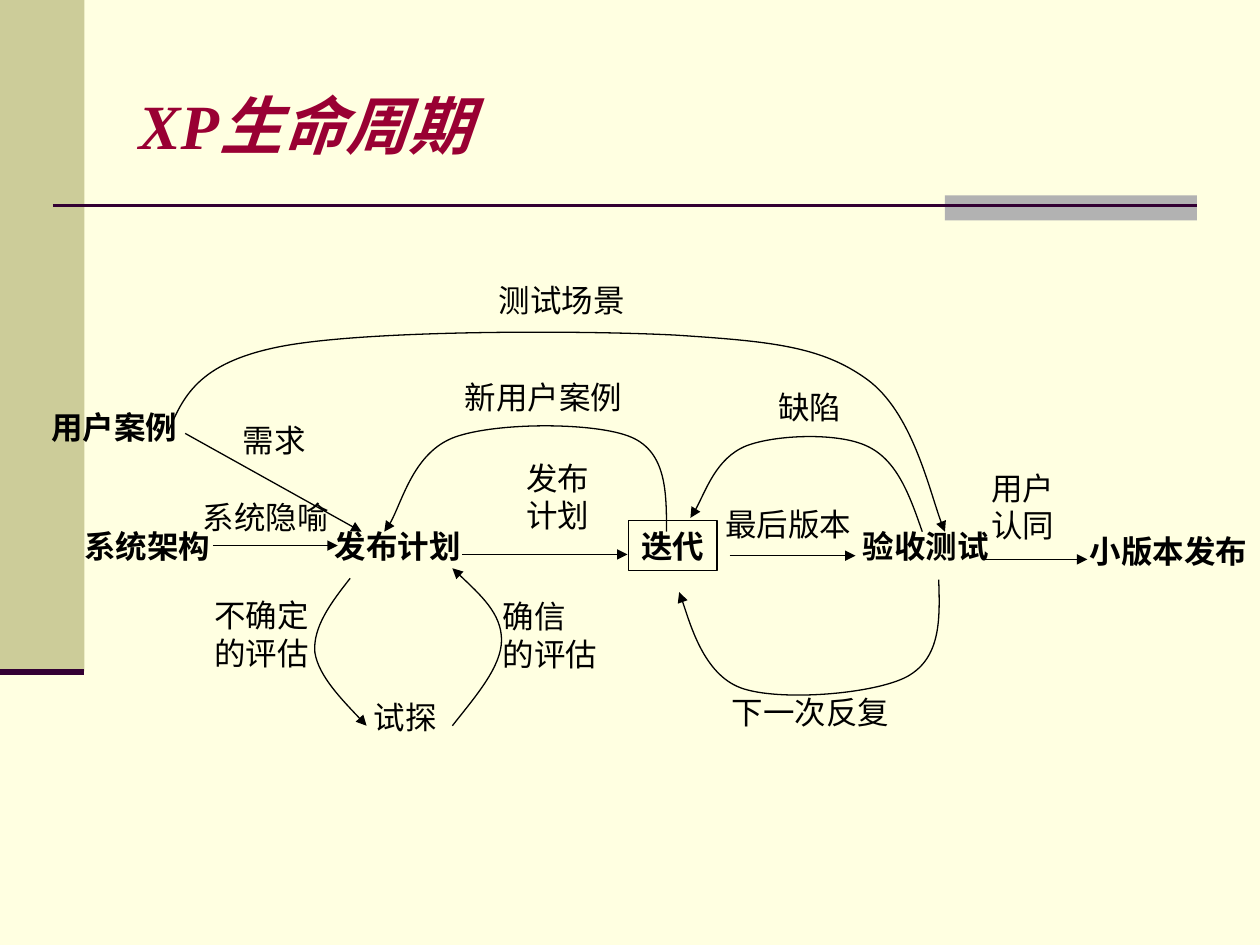
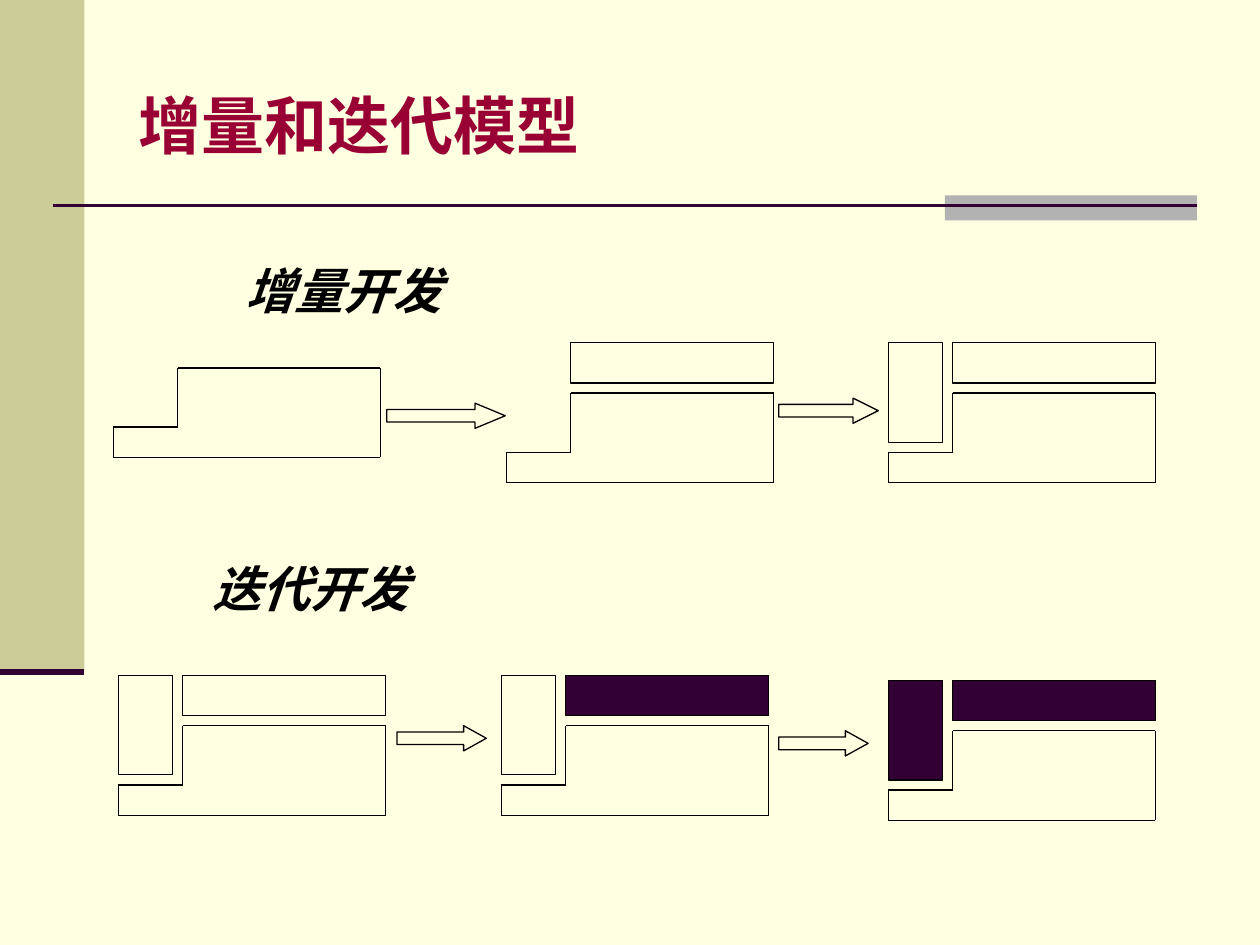
from itertools import pairwise

from lxml import etree
from pptx import Presentation
from pptx import util as u
from pptx.dml.color import RGBColor
from pptx.enum import shapes, text
from pptx.oxml.ns import qn

COLORS = {
    "page": "FFFFE1", "band": "CCCC99", "tab": "B2B2B2",
    "plum": "330033", "title": "990033", "ink": "000000",
}


def write(frame, content, size=18, font="Arial", color="ink", bold=False, italic=False,
          wrap=False, align=text.PP_ALIGN.LEFT, anchor=text.MSO_ANCHOR.TOP,
          spacing=None, before=None, fit=text.MSO_AUTO_SIZE.SHAPE_TO_FIT_TEXT):
    frame.word_wrap = wrap
    frame.auto_size = fit
    frame.vertical_anchor = anchor
    frame.text = content
    for paragraph in frame.paragraphs:
        paragraph.alignment = align
        paragraph.line_spacing = spacing
        paragraph.space_before = before
        for run in paragraph.runs:
            run.font.name = font
            run.font.size = u.Pt(size)
            run.font.bold = bold
            run.font.italic = italic
            run.font.color.rgb = RGBColor.from_string(COLORS[color])


def outline(shape, fill=None, color="ink", width=0.75, arrow=False):
    shape.line.color.rgb = RGBColor.from_string(COLORS[color])
    shape.line.width = u.Pt(width)
    if arrow:
        etree.SubElement(shape.element.find(".//" + qn("a:ln")), qn("a:tailEnd"), type="triangle")
    if shape.shape_type == shapes.MSO_SHAPE_TYPE.LINE:
        etree.SubElement(shape.element.spPr, qn("a:effectLst"))
        return
    shape.shadow.inherit = False
    if fill:
        shape.fill.solid()
        shape.fill.fore_color.rgb = RGBColor.from_string(COLORS[fill])
    else:
        shape.fill.background()


deck = Presentation()
deck.slide_width, deck.slide_height = u.Inches(10), u.Inches(7.5)
page = deck.slide_master.background.fill
page.solid()
page.fore_color.rgb = RGBColor.from_string(COLORS["page"])

layout = deck.slide_layouts[5]
heading = layout.placeholders[0]
heading.left, heading.top = u.Inches(1), u.Inches(0.3)
heading.width, heading.height = u.Inches(8.5), u.Inches(1.25)

lifecycle = deck.slides.add_slide(layout)
models = deck.slides.add_slide(layout)

decor = []
for color, box in [("band", (0, 0, 0.67, 5.33)), ("tab", (7.5, 1.55, 2, 0.2))]:
    block = lifecycle.shapes.add_shape(shapes.MSO_SHAPE.RECTANGLE, *map(u.Inches, box))
    outline(block, fill=color)
    block.line.fill.background()
    decor.append(block)
for ends, width in [((0.42, 1.63, 9.5, 1.63), 1.5), ((0, 5.33, 0.67, 5.33), 3.5)]:
    rule = lifecycle.shapes.add_connector(shapes.MSO_CONNECTOR.STRAIGHT, *map(u.Inches, ends))
    outline(rule, color="plum", width=width)
    decor.append(rule)
for position, part in enumerate(decor, start=2):
    layout.shapes.element.insert(position, part.element)

for slide, title, slanted in [(lifecycle, "XP生命周期", True), (models, "增量和迭代模型", False)]:
    write(slide.shapes.title.text_frame, title, size=36, font="Times New Roman", color="title",
          bold=True, italic=slanted, wrap=True, anchor=text.MSO_ANCHOR.MIDDLE, spacing=1.2,
          fit=text.MSO_AUTO_SIZE.NONE)

stages = [
    ("用户案例", 0.31, 3.19, 1.2),
    ("系统架构", 0.57, 4.13, 1.21),
    ("发布计划", 2.56, 4.13, 1.2),
    ("验收测试", 6.75, 4.13, 1.2),
    ("小版本发布", 8.55, 4.17, 1.45),
]
labels = [
    ("试探", 2.87, 5.49, 0.7),
    ("需求", 1.83, 3.29, 0.7),
    ("测试场景", 3.86, 2.18, 1.2),
    ("系统隐喻", 1.51, 3.9, 1.2),
    ("缺陷", 6.08, 3.03, 0.7),
    ("新用户案例", 3.59, 2.95, 1.45),
    ("不确定\n的评估", 1.6, 4.68, 0.95),
    ("确信\n的评估", 3.89, 4.69, 0.95),
    ("下一次反复", 5.71, 5.45, 1.45),
    ("最后版本", 5.66, 3.96, 1.2),
]
wrapped = [("发布计划", 4.08, 3.59, 0.81), ("用户认同", 7.77, 3.67, 0.79)]
for group, style in [(stages, {"bold": True}), (labels, {}), (wrapped, {"wrap": True})]:
    for words, left, top, width in group:
        height = 0.7 if "\n" in words or group is wrapped else 0.4
        label = lifecycle.shapes.add_textbox(*map(u.Inches, (left, top, width, height)))
        write(label.text_frame, words, **style)

iteration = lifecycle.shapes.add_shape(
    shapes.MSO_SHAPE.RECTANGLE, *map(u.Inches, (4.99, 4.13, 0.7, 0.4)))
outline(iteration)
write(iteration.text_frame, "迭代", bold=True)

for ends in [
    (1.47, 3.44, 2.87, 4.22),
    (1.69, 4.33, 2.68, 4.33),
    (3.67, 4.4, 4.98, 4.4),
    (5.79, 4.41, 6.79, 4.41),
    (7.82, 4.44, 8.63, 4.44),
]:
    step = lifecycle.shapes.add_connector(shapes.MSO_CONNECTOR.STRAIGHT, *map(u.Inches, ends))
    outline(step, arrow=True)

flows = [
    [(5.29, 4.22), (5.29, 3.91), (5.29, 3.59), (5.01, 3.47), (4.73, 3.35), (3.94, 3.35),
     (3.61, 3.47), (3.28, 3.59), (3.16, 4.11), (3.05, 4.22)],
    [(7.32, 4.22), (7.22, 3.93), (7.12, 3.65), (6.88, 3.54), (6.65, 3.43), (6.15, 3.45),
     (5.92, 3.54), (5.68, 3.64), (5.57, 3.99), (5.48, 4.11)],
    [(2.78, 4.59), (2.63, 4.78), (2.48, 4.98), (2.5, 5.18), (2.53, 5.37), (2.78, 5.62),
     (2.91, 5.76)],
    [(3.59, 5.76), (3.78, 5.52), (3.98, 5.29), (3.98, 5.08), (3.98, 4.87), (3.78, 4.69),
     (3.59, 4.51)],
    [(7.45, 4.6), (7.46, 4.91), (7.47, 5.22), (7.2, 5.37), (6.94, 5.51), (6.18, 5.57),
     (5.88, 5.46), (5.58, 5.35), (5.4, 4.71), (5.39, 4.7)],
    [(1.33, 3.44), (1.45, 3.16), (1.56, 2.88), (2.23, 2.75), (2.9, 2.62), (4.58, 2.62),
     (5.36, 2.66), (6.13, 2.71), (6.52, 2.75), (6.88, 3.01), (7.24, 3.27), (7.4, 4),
     (7.5, 4.22)],
]
for flow in flows:
    start, *rest = [(u.Inches(x), u.Inches(y)) for x, y in flow]
    builder = lifecycle.shapes.build_freeform(*start)
    builder.add_line_segments(rest, close=False)
    curve = builder.convert_to_shape()
    segments = list(curve.element.iter(qn("a:lnTo")))
    for first in range(0, len(segments), 3):
        bend = etree.SubElement(segments[first].getparent(), qn("a:cubicBezTo"))
        for segment in segments[first:first + 3]:
            bend.append(segment[0])
            segment.getparent().remove(segment)
    outline(curve, arrow=True)

base = [(0, 0.87), (0.51, 0.87), (0.51, 0.4), (2.12, 0.4), (2.12, 1.11), (0, 1.11), (0, 0.87)]
for left, top, side_fill, upper_fill in [
    (7.05, 2.72, "page", "page"),
    (4.02, 2.72, None, "page"),
    (0.9, 2.52, None, None),
    (0.94, 5.36, "page", "page"),
    (3.98, 5.36, "page", "plum"),
    (7.05, 5.4, "plum", "plum"),
]:
    for fill, offset, width, height in [(side_fill, 0, 0.43, 0.79), (upper_fill, 0.51, 1.61, 0.32)]:
        if fill:
            piece = models.shapes.add_shape(
                shapes.MSO_SHAPE.RECTANGLE, *map(u.Inches, (left + offset, top, width, height)))
            outline(piece, fill=fill)
    for (x1, y1), (x2, y2) in pairwise(base):
        edge = models.shapes.add_connector(
            shapes.MSO_CONNECTOR.STRAIGHT,
            *map(u.Inches, (left + x1, top + y1, left + x2, top + y2)))
        outline(edge)

for words, left, top in [("增量开发", 1.85, 2.02), ("迭代开发", 1.59, 4.38)]:
    caption = models.shapes.add_textbox(*map(u.Inches, (left, top, 1.75, 0.57)))
    write(caption.text_frame, words, size=28, bold=True, italic=True,
          align=text.PP_ALIGN.CENTER, before=u.Pt(17.5))

for left, top, width, head in [
    (3.07, 3.2, 0.94, 1.2), (6.18, 3.16, 0.79, 1), (3.15, 5.76, 0.71, 0.9), (6.18, 5.8, 0.71, 0.9),
]:
    progress = models.shapes.add_shape(
        shapes.MSO_SHAPE.RIGHT_ARROW, *map(u.Inches, (left, top, width, 0.2)))
    progress.adjustments[1] = head
    outline(progress, fill="page")

deck.save("out.pptx")
